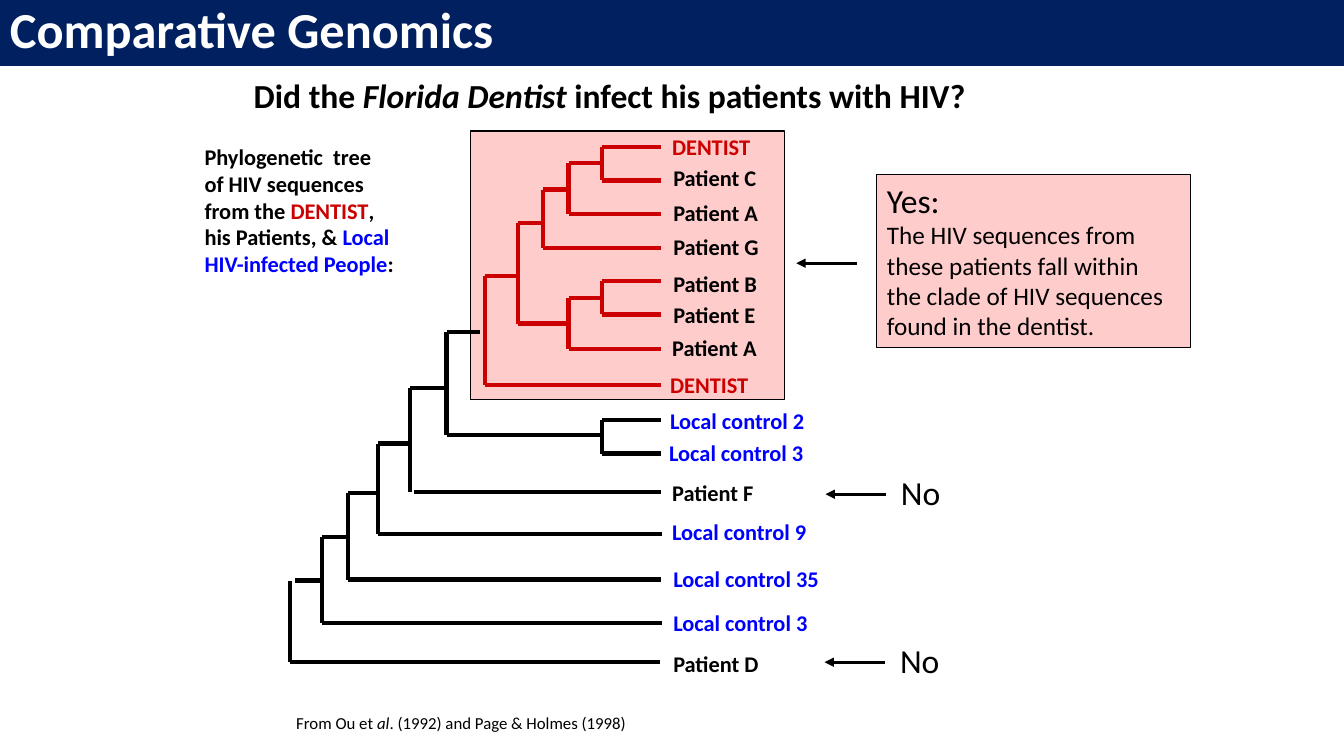
from dataclasses import dataclass

from lxml import etree
from pptx import Presentation
from pptx.dml.color import RGBColor
from pptx.enum.shapes import MSO_CONNECTOR, MSO_SHAPE
from pptx.enum.text import MSO_ANCHOR, PP_ALIGN
from pptx.oxml.ns import qn
from pptx.util import Pt

STRAIGHT = MSO_CONNECTOR.STRAIGHT
RECTANGLE = MSO_SHAPE.RECTANGLE
TOP, MIDDLE = MSO_ANCHOR.TOP, MSO_ANCHOR.MIDDLE
LEFT = PP_ALIGN.LEFT


@dataclass(frozen=True)
class Theme:
    font: str = "Calibri"
    black: str = "000000"
    white: str = "FFFFFF"
    navy: str = "002060"
    red: str = "CC0000"
    blue: str = "0000FF"
    pink: str = "FFCCCC"
    header: int = 36
    heading: int = 24
    body: int = 18
    label: int = 16
    source: int = 12
    outline: float = 0.75
    branch: float = 3
    arrow: float = 2.25


THEME = Theme()


@dataclass(frozen=True)
class Fork:
    """A vertical stem with a horizontal branch at each end."""
    stem: float
    upper: float
    lower: float
    upper_end: float
    lower_end: float
    color: str = THEME.black
    upper_gap: float = 0
    lower_gap: float = 0


# Positions inside the tree's box
TIP = 272.3
RED = THEME.red
FORKS = [
    Fork(229.8, 15.1, 38.9, TIP, TIP, RED),
    Fork(206.1, 26.6, 62.6, 229.8, TIP, RED),
    Fork(188.1, 45.4, 87.1, 206.1, TIP, RED),
    Fork(229.8, 110.9, 134.6, TIP, TIP, RED),
    Fork(206.1, 123.1, 159.1, 229.8, TIP, RED),
    Fork(170.1, 69.1, 141.1, 187.4, 206.1, RED),
    Fork(146.3, 107.3, 185, 170.1, TIP, RED),
    Fork(119, 146.9, 221, 142.7, 229.8),
    Fork(229.8, 210.2, 234, TIP, TIP),
    Fork(93, 187.2, 261.4, 116.8, TIP, lower_gap=2.9),
    Fork(70, 226.8, 291.6, 93, 273),
    Fork(48.6, 262.1, 324, 70, TIP),
    Fork(30, 293.8, 355, 49.8, 273),
    Fork(7.4, 324.7, 383, 29, 271.6, upper_gap=3.6),
]
LEAVES = [
    ("DENTIST", 273, 1.4), ("Patient C", 273.8, 23.8), ("Patient A", 273.8, 49),
    ("Patient G", 273.8, 72.7), ("Patient B", 273.8, 99.4),
    ("Patient E", 273.8, 121.7), ("Patient A", 273, 145.4),
    ("DENTIST", 271.6, 171.4), ("Local control 2", 271.6, 197.3),
    ("Local control 3", 270.9, 220.3), ("Patient F", 273, 248.4),
    ("Local control 9", 273, 276.5), ("Local control 35", 273.8, 310.3),
    ("Local control 3", 273.8, 341.3), ("Patient D", 273.8, 370.8),
]
LEAF_COLORS = {"DENTIST": THEME.red, "Patient": THEME.black, "Local": THEME.blue}


def write(frame, paragraphs, *, size, color=THEME.black, bold=False,
          anchor=TOP, spacing=None, wrap=True):
    """Each paragraph is a list of runs; a run is (text, format changes)."""
    frame.word_wrap = wrap
    frame.vertical_anchor = anchor
    for index, runs in enumerate(paragraphs):
        paragraph = frame.paragraphs[0] if index == 0 else frame.add_paragraph()
        paragraph.alignment = LEFT
        if spacing:
            paragraph.line_spacing = spacing
        for text, changes in runs:
            run = paragraph.add_run()
            run.text = text
            font = run.font
            font.name = THEME.font
            font.size = Pt(changes.get("size", size))
            font.bold = bold
            font.italic = changes.get("italic", False)
            font.color.rgb = RGBColor.from_string(changes.get("color", color))


def add_text(slide, box, paragraphs, **style):
    area = slide.shapes.add_textbox(*map(Pt, box))
    write(area.text_frame, paragraphs, **style)


def add_panel(slide, box, fill, line, width):
    panel = slide.shapes.add_shape(RECTANGLE, *map(Pt, box))
    panel.shadow.inherit = False
    panel.fill.solid()
    panel.fill.fore_color.rgb = RGBColor.from_string(fill)
    panel.line.color.rgb = RGBColor.from_string(line)
    panel.line.width = Pt(width)
    return panel


def add_line(slide, start, end, color, width, arrow=False):
    line = slide.shapes.add_connector(STRAIGHT, *map(Pt, (*start, *end)))
    line.line.color.rgb = RGBColor.from_string(color)
    line.line.width = Pt(width)
    if arrow:
        etree.SubElement(line.line._get_or_add_ln(), qn("a:tailEnd"), type="triangle")
    etree.SubElement(line._element.spPr, qn("a:effectLst"))


def add_arrow(slide, right, y):
    add_line(slide, (right, y), (right - 43.2, y), THEME.black, THEME.arrow, arrow=True)


def draw_header(slide, box):
    band = add_panel(slide, box, THEME.navy, THEME.navy, THEME.arrow)
    write(band.text_frame, [[("Comparative Genomics", {})]], size=THEME.header,
          color=THEME.white, bold=True, anchor=MIDDLE, spacing=0.9)


def draw_question(slide, box):
    add_text(slide, box, [[("Did the ", {}), ("Florida Dentist", {"italic": True}),
                           (" infect his patients with HIV?", {})]],
             size=THEME.heading, bold=True, anchor=MIDDLE, spacing=0.9)


def draw_tree(slide, box):
    left, top = box[:2]

    # Clade of the dentist
    add_panel(slide, (left + 136.2, top + 3.6, 223.9, 191.5),
              THEME.pink, THEME.black, THEME.outline)

    # Branches
    for fork in FORKS:
        stem, upper, lower = left + fork.stem, top + fork.upper, top + fork.lower
        for start, end in (
            ((stem + fork.upper_gap, upper), (left + fork.upper_end, upper)),
            ((stem, upper), (stem, lower)),
            ((stem + fork.lower_gap, lower), (left + fork.lower_end, lower)),
        ):
            add_line(slide, start, end, fork.color, THEME.branch)

    # Leaves
    for name, x, y in LEAVES:
        add_text(slide, (left + x, top + y, 156, 26.6), [[(name, {})]],
                 size=THEME.label, color=LEAF_COLORS[name.split()[0]], bold=True)


def draw_caption(slide, box):
    red, blue = {"color": THEME.red}, {"color": THEME.blue}
    add_text(slide, box, [
        [("Phylogenetic  tree", {})],
        [("of HIV sequences", {})],
        [("from the ", {}), ("DENTIST", red), (",", {})],
        [("his Patients, & ", {}), ("Local", blue)],
        [("HIV-infected People", blue), (":", {})],
    ], size=THEME.label, bold=True)


def draw_yes(slide, box):
    left, top = box[:2]
    answer = add_panel(slide, box, THEME.pink, THEME.black, THEME.outline)
    write(answer.text_frame, [
        [("Yes:", {"size": THEME.heading})],
        [("The HIV sequences from", {})],
        [("these patients fall within", {})],
        [("the clade of HIV sequences found in the dentist.", {})],
    ], size=THEME.body)
    add_arrow(slide, left - 14.4, top + 63.4)


def draw_no(slide, box):
    left, top = box[:2]
    add_text(slide, box, [[("No", {})]], size=THEME.heading, wrap=False)
    add_arrow(slide, left - 3.6, top + 19.8)


def draw_source(slide, box):
    add_text(slide, box, [[("From Ou et ", {}), ("al", {"italic": True}),
                           (". (1992) and Page & Holmes (1998)", {})]],
             size=THEME.source, wrap=False)


def main():
    deck = Presentation()
    deck.slide_width, deck.slide_height = Pt(960), Pt(540)
    slide = deck.slides.add_slide(deck.slide_layouts[6])

    draw_question(slide, (174.2, 49, 612, 41.8))
    draw_tree(slide, (200, 90, 430, 408))
    draw_yes(slide, (626.4, 124.6, 223.9, 123.8))
    draw_no(slide, (636.5, 333.2, 43.2, 36.4))
    draw_no(slide, (635.8, 453.2, 43.2, 36.4))
    draw_source(slide, (204.5, 505.4, 253.4, 21.8))
    draw_caption(slide, (139, 98.6, 167, 123.8))
    draw_header(slide, (0, 0, 960, 46.1))

    deck.save("out.pptx")


if __name__ == "__main__":
    main()
